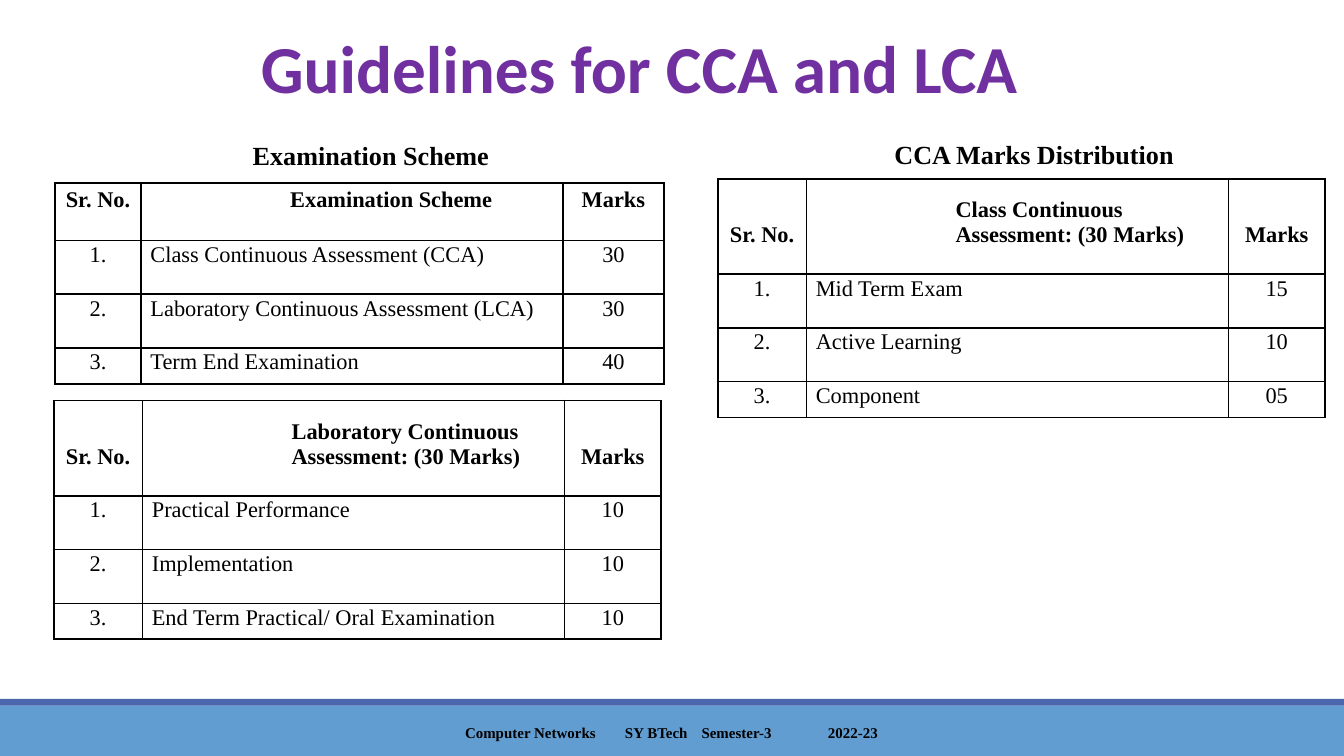
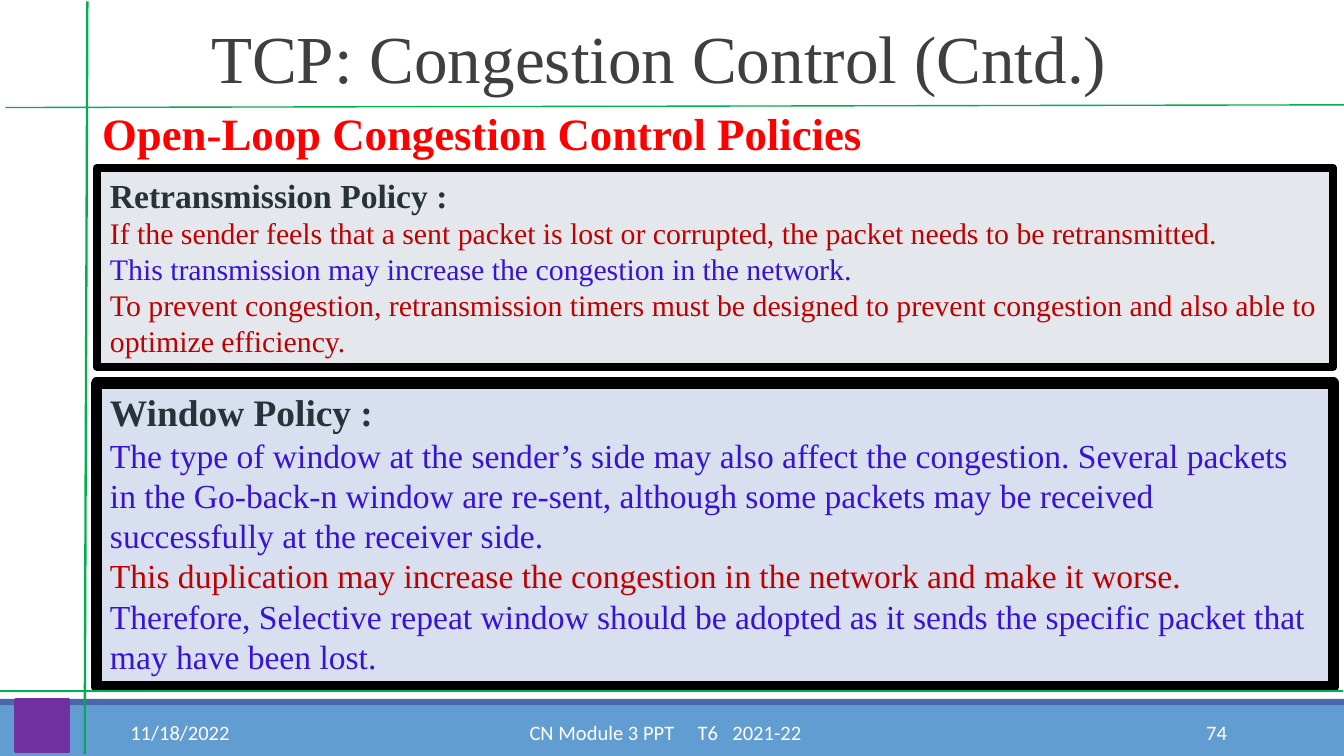
"""Build two course slides: assessment guidelines and TCP congestion policies."""
import pptx
import pptx.dml.color
import pptx.enum.shapes
import pptx.enum.text
import pptx.oxml.ns
import pptx.util
from lxml import etree

Inches, Pt = pptx.util.Inches, pptx.util.Pt
ALIGN = pptx.enum.text.PP_ALIGN
ANCHOR = pptx.enum.text.MSO_ANCHOR
RECTANGLE = pptx.enum.shapes.MSO_SHAPE.RECTANGLE
SERIF, SANS = "Times New Roman", "Calibri"

COLORS = {
    "band": "629DD1", "stripe": "4A66AC", "black": "000000", "white": "FFFFFF",
    "purple": "7030A0", "gray": "3F3F3F", "red": "FF0000", "green": "00B050",
    "heading": "273239", "crimson": "C00000", "blue": "3812D8",
    "retransmission": "E4E8ED", "window": "D8DFEF",
}

CAPTIONS = [
    ("Examination Scheme", (1.52, 0.99, 2.48, 0.4)),
    ("CCA Marks Distribution", (6.25, 0.98, 2.89, 0.4)),
]
SCHEMES = [
    {
        "corner": (0.41, 1.36), "columns": (0.64, 3.14, 0.75), "header": (0.22, 0.21),
        "rows": [
            ("Sr. No.", "Examination Scheme", "Marks"),
            ("1.", "Class Continuous Assessment (CCA)", "30"),
            ("2.", "Laboratory Continuous Assessment (LCA)", "30"),
            ("3.", "Term End Examination", "40"),
        ],
    },
    {
        "corner": (5.34, 1.33), "columns": (0.66, 3.14, 0.72), "header": (0.51, 0.2),
        "rows": [
            ("Sr. No.", "Class Continuous Assessment: (30 Marks)", "Marks"),
            ("1.", "Mid Term Exam", "15"),
            ("2.", "Active Learning", "10"),
            ("3.", "Component", "05"),
        ],
    },
    {
        "corner": (0.4, 2.98), "columns": (0.66, 3.14, 0.72), "header": (0.51, 0.2),
        "rows": [
            ("Sr. No.", "Laboratory Continuous Assessment: (30 Marks)", "Marks"),
            ("1.", "Practical Performance", "10"),
            ("2.", "Implementation", "10"),
            ("3.", "End Term Practical/ Oral Examination", "10"),
        ],
    },
]
ROW, LAST_ROW = (0.2, 0.2), (0.2, 0.06)

POLICIES = [
    {
        "box": (0.72, 1.25, 9.2, 1.48), "fill": "retransmission", "border": 4.5,
        "paragraphs": [
            [("Retransmission Policy :", 18, "heading", True),
             ("If the sender feels that a sent packet is lost or corrupted, "
              "the packet needs to be retransmitted.", 16, "crimson", False)],
            [("This transmission may increase the congestion in the network.",
              16, "blue", False),
             ("To prevent congestion, retransmission timers must be designed to prevent "
              "congestion and also able to optimize efficiency.", 16, "crimson", False)],
        ],
    },
    {
        "box": (0.72, 2.85, 9.2, 2.26), "fill": "window", "border": 6,
        "paragraphs": [
            [("Window Policy :", 20, "heading", True),
             ("The type of window at the sender’s side may also affect the congestion. "
              "Several packets in the Go-back-n window are re-sent, although some packets "
              "may be received successfully at the receiver side.", 18, "blue", False)],
            [("This duplication may increase the congestion in the network "
              "and make it worse.", 18, "crimson", False),
             ("Therefore, Selective repeat window should be adopted as it sends the "
              "specific packet that may have been lost.", 18, "blue", False)],
        ],
    },
]
GUIDES = [
    ((0.04, 0.8, 10.04, 0.78), 0.75),
    ((-0.01, 5.14, 9.99, 5.14), 1.25),
    ((0.65, 0.01, 0.63, 5.61), 1.25),
]


def rgb(color):
    return pptx.dml.color.RGBColor.from_string(COLORS[color])


def inches(values):
    return [Inches(value) for value in values]


def style_run(run, size, color, font=SERIF, bold=False):
    run.font.name, run.font.size, run.font.bold = font, Pt(size), bold
    run.font.color.rgb = rgb(color)


def write(paragraph, text, size, color, font=SERIF, bold=False, align=ALIGN.LEFT):
    paragraph.text = text
    paragraph.alignment = align
    for run in paragraph.runs:
        style_run(run, size, color, font, bold)


def set_frame(frame, anchor, margins):
    frame.word_wrap = True
    frame.auto_size = pptx.enum.text.MSO_AUTO_SIZE.NONE
    frame.vertical_anchor = anchor
    frame.margin_left = frame.margin_right = Inches(margins[0])
    frame.margin_top = frame.margin_bottom = Inches(margins[1])


def add_text(slide, box, text, size, color, anchor=ANCHOR.TOP, margins=(0.07, 0.04), **style):
    frame = slide.shapes.add_textbox(*inches(box)).text_frame
    set_frame(frame, anchor, margins)
    write(frame.paragraphs[0], text, size, color, **style)
    return frame


def add_rectangle(slide, box, fill, border=None, width=0):
    rectangle = slide.shapes.add_shape(RECTANGLE, *inches(box))
    rectangle.shadow.inherit = False
    rectangle.fill.solid()
    rectangle.fill.fore_color.rgb = rgb(fill)
    if border:
        rectangle.line.color.rgb = rgb(border)
        rectangle.line.width = Pt(width)
    else:
        rectangle.line.fill.background()
    return rectangle


def add_element(parent, tag, **attributes):
    return etree.SubElement(parent, pptx.oxml.ns.qn(tag), **attributes)


def add_guide(slide, ends, width):
    guide = slide.shapes.add_connector(pptx.enum.shapes.MSO_CONNECTOR.STRAIGHT, *inches(ends))
    guide.line.color.rgb = rgb("green")
    guide.line.width = Pt(width)
    add_element(guide._element.spPr, "a:effectLst")


def start_slide(deck, title, box, color, font, bold, anchor):
    slide = deck.slides.add_slide(deck.slide_layouts[5])
    add_rectangle(slide, (0, 5.25, 10, 0.38), "band")
    add_rectangle(slide, (0, 5.2, 10, 0.05), "stripe")
    heading = slide.shapes.title
    heading.left, heading.top, heading.width, heading.height = inches(box)
    set_frame(heading.text_frame, anchor, (0.07, 0.04))
    write(heading.text_frame.paragraphs[0], title, 36, color, font, bold)
    heading.text_frame.paragraphs[0].line_spacing = 0.85
    return slide


def add_footer(slide, parts, indent, stops, size, color, font, bold=False):
    frame = add_text(slide, (3.02, 5.3, 3.96, 0.3), "\t".join(parts), size, color,
                     ANCHOR.MIDDLE, font=font, bold=bold)
    frame.margin_left = Inches(indent)
    tabs = add_element(frame.paragraphs[0]._p.get_or_add_pPr(), "a:tabLst")
    for stop in stops:
        add_element(tabs, "a:tab", pos=str(Inches(stop)), algn="l")


def set_borders(cell, sides):
    properties = cell._tc.get_or_add_tcPr()
    for side in "LRTB":
        line = add_element(properties, f"a:ln{side}", w=str(Pt(1)))
        if side in sides:
            fill = add_element(line, "a:solidFill")
            add_element(fill, "a:srgbClr", val=COLORS["black"])
        else:
            add_element(line, "a:noFill")


def add_scheme(slide, scheme):
    entries, columns = scheme["rows"], scheme["columns"]
    pairs = [scheme["header"]] + [ROW] * (len(entries) - 2) + [LAST_ROW]
    heights = [height for pair in pairs for height in pair]
    table = slide.shapes.add_table(
        len(heights), len(columns),
        *inches((*scheme["corner"], sum(columns), sum(heights)))).table
    table.first_row = table.horz_banding = False
    for column, width in zip(table.columns, columns):
        column.width = Inches(width)
    for r, height in enumerate(heights):
        table.rows[r].height = Inches(height)
        entry, is_gap = divmod(r, 2)
        for c in range(len(columns)):
            cell = table.cell(r, c)
            cell.margin_left = cell.margin_right = cell.margin_top = cell.margin_bottom = 0
            cell.vertical_anchor = ANCHOR.BOTTOM
            set_borders(cell, "LRB" if is_gap else "LRT")
            cell.fill.background()
            paragraph = cell.text_frame.paragraphs[0]
            if is_gap:
                add_element(paragraph._p, "a:endParaRPr", sz="400")
                continue
            write(paragraph, entries[entry][c], 12, "black", bold=entry == 0,
                  align=ALIGN.LEFT if c == 1 else ALIGN.CENTER)
            if c == 1:
                indent = Inches(0.07 if entry else 1.11)
                paragraph._p.get_or_add_pPr().set("marL", str(indent))


def add_policy(slide, policy):
    frame = add_rectangle(slide, policy["box"], policy["fill"], "black",
                          policy["border"]).text_frame
    set_frame(frame, ANCHOR.TOP, (0.1, 0.05))
    for number, (lead, detail) in enumerate(policy["paragraphs"]):
        paragraph = frame.add_paragraph() if number else frame.paragraphs[0]
        text, size, color, bold = lead
        write(paragraph, text, size, color, bold=bold)
        paragraph.add_line_break()
        add_element(paragraph._p[-1], "a:rPr", sz=str(size * 100))
        text, size, color, bold = detail
        run = paragraph.add_run()
        run.text = text
        style_run(run, size, color, bold=bold)


def build_guidelines(deck):
    slide = start_slide(deck, "Guidelines for CCA and LCA", (1.87, 0.04, 7.69, 0.8),
                        "purple", SANS, True, ANCHOR.BOTTOM)
    add_footer(slide, ["Computer Networks", "SY BTech", "Semester-3", "2022-23"],
               0.44, (1.19, 1.76, 2.7), 8, "black", SERIF, True)
    for caption, box in CAPTIONS:
        add_text(slide, box, caption, 14, "black", margins=(0.1, 0.05),
                 bold=True, align=ALIGN.CENTER)
    for scheme in SCHEMES:
        add_scheme(slide, scheme)


def build_congestion(deck):
    slide = start_slide(deck, "TCP: Congestion Control (Cntd.)", (1.5, 0.23, 8.5, 0.47),
                        "gray", SERIF, False, ANCHOR.MIDDLE)
    add_text(slide, (0.9, 5.3, 2.03, 0.3), "11/18/2022", 11, "white", ANCHOR.MIDDLE, font=SANS)
    add_footer(slide, ["CN Module 3 PPT", "T6", "2021-22"],
               0.92, (1.25, 1.51), 11, "white", SANS)
    add_text(slide, (8.12, 5.3, 1.08, 0.3), "74", 11, "white", ANCHOR.MIDDLE,
             font=SANS, align=ALIGN.RIGHT)
    subtitle = add_text(slide, (0.61, 0.82, 9.31, 1.68), "Open-Loop Congestion Control Policies",
                        24, "red", bold=True).paragraphs[0]
    subtitle.line_spacing = 0.8
    subtitle._p.get_or_add_pPr().set("marL", str(Inches(0.08)))
    for policy in POLICIES:
        add_policy(slide, policy)
    add_rectangle(slide, (0.12, 5.21, 0.39, 0.38), "purple", "purple", 2)
    for ends, width in GUIDES:
        add_guide(slide, ends, width)


def main():
    deck = pptx.Presentation()
    deck.slide_width = Inches(10)
    deck.slide_height = deck.slide_width * 9 // 16
    build_guidelines(deck)
    build_congestion(deck)
    deck.save("out.pptx")


if __name__ == "__main__":
    main()
